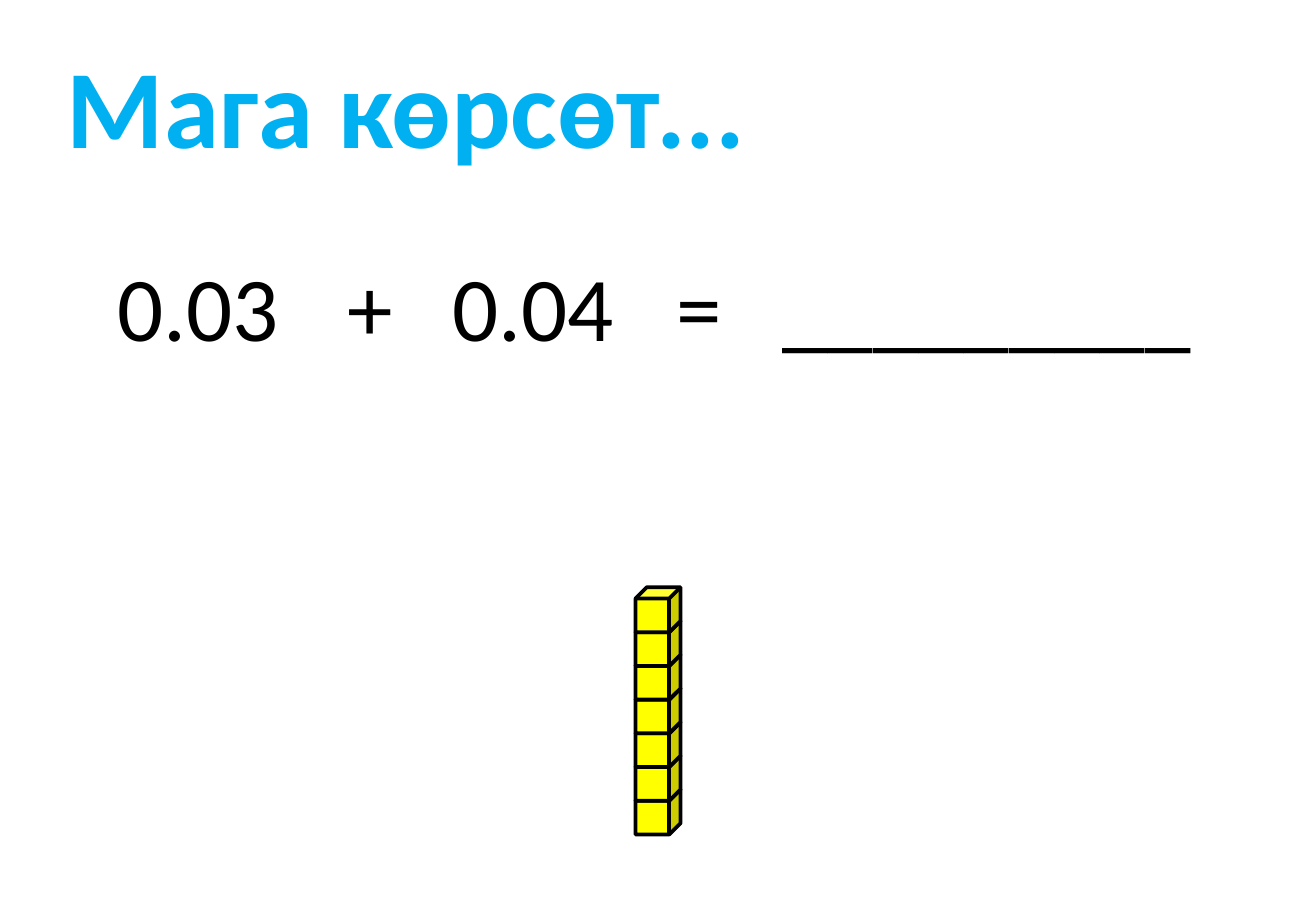
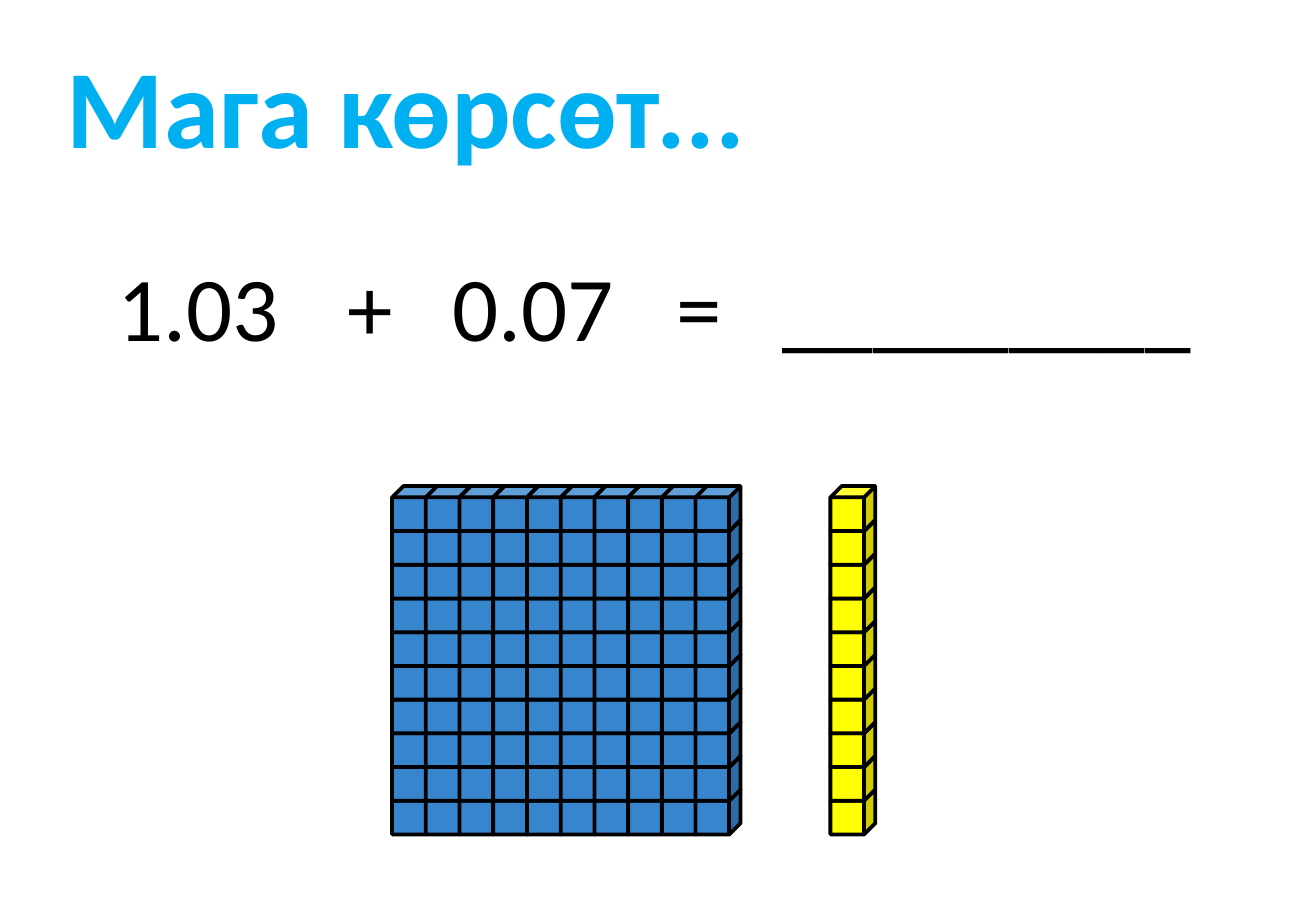
from dataclasses import dataclass

import pptx
import pptx.util
import pptx.dml.color
import pptx.enum.shapes
import pptx.enum.text
import lxml.etree

Inches = pptx.util.Inches
WIDTH, HEIGHT = 10.83, 7.5
TITLE_BOX = (0.24, 0.26, 7.54, 1.21)
SUM_BOX = (0.87, 2.01, 9.1, 1.01)
BLOCKS_BOTTOM = 0.916 * HEIGHT


@dataclass(frozen=True)
class Theme:
    font: str = "Calibri"
    title: str = "00B0F0"
    ink: str = "000000"
    tens: str = "3786CD"
    units: str = "FFFF00"
    title_size: float = 66
    sum_size: float = 54
    outline: float = 2.25
    cube: float = 0.37


THEME = Theme()


def rgb(value):
    return pptx.dml.color.RGBColor.from_string(value)


def place(sp, box):
    sp.left, sp.top, sp.width, sp.height = map(Inches, box)


def write(sp, text, *, size, color, bold=False, inset=0.1, tabs=()):
    """Fill a text shape; tabs holds (share of the width, alignment) pairs."""
    tf = sp.text_frame
    tf.word_wrap = True
    tf.auto_size = pptx.enum.text.MSO_AUTO_SIZE.NONE
    tf.vertical_anchor = pptx.enum.text.MSO_ANCHOR.TOP
    tf.margin_left = Inches(inset)
    p = tf.paragraphs[0]
    p.alignment = pptx.enum.text.PP_ALIGN.LEFT
    if tabs:
        tag = pptx.oxml.ns.qn
        stops = lxml.etree.SubElement(p._p.get_or_add_pPr(), tag("a:tabLst"))
        for share, align in tabs:
            lxml.etree.SubElement(stops, tag("a:tab"),
                                  pos=str(int(sp.width * share)), algn=align)
    r = p.add_run()
    r.text = text
    r.font.name = THEME.font
    r.font.size = pptx.util.Pt(size)
    r.font.bold = bold
    r.font.color.rgb = rgb(color)


def add_title(slide, box, text):
    sp = slide.shapes.title
    place(sp, box)
    write(sp, text, size=THEME.title_size, color=THEME.title, bold=True, inset=0.31)


def add_sum(slide, box, terms):
    sp = slide.shapes.add_textbox(*map(Inches, box))
    tabs = [(0.228, "ctr"), (0.376, "ctr"), (0.526, "ctr"), (0.601, "l")]
    write(sp, "\t".join(terms), size=THEME.sum_size, color=THEME.ink, tabs=tabs)


def add_blocks(shapes, left, bottom, columns, rows, color):
    """Stack cubes from the bottom up, each overlapping the depth of the last."""
    size = THEME.cube
    step = size * 0.75
    for column in range(columns):
        for row in range(rows):
            sp = shapes.add_shape(
                pptx.enum.shapes.MSO_SHAPE.CUBE,
                Inches(left + column * step), Inches(bottom - size - row * step),
                Inches(size), Inches(size))
            sp.shadow.inherit = False
            sp.fill.solid()
            sp.fill.fore_color.rgb = rgb(color)
            sp.line.color.rgb = rgb(THEME.ink)
            sp.line.width = pptx.util.Pt(THEME.outline)


def add_sum_slide(prs, first, second, units, units_left, flat_left=None):
    slide = prs.slides.add_slide(prs.slide_layouts[5])
    add_sum(slide, SUM_BOX, [first, "+", second, "=", "_" * 9])
    add_blocks(slide.shapes, units_left * WIDTH, BLOCKS_BOTTOM, 1, units, THEME.units)
    if flat_left is not None:
        flat = slide.shapes.add_group_shape()
        add_blocks(flat.shapes, flat_left * WIDTH, BLOCKS_BOTTOM, 10, 10, THEME.tens)
    add_title(slide, TITLE_BOX, "Мага көрсөт...")


def main():
    prs = pptx.Presentation()
    prs.slide_width, prs.slide_height = Inches(WIDTH), Inches(HEIGHT)
    add_sum_slide(prs, "0.03", "0.04", units=7, units_left=0.483)
    add_sum_slide(prs, "1.03", "0.07", units=10, units_left=0.631, flat_left=0.298)
    prs.save("out.pptx")


if __name__ == "__main__":
    main()
